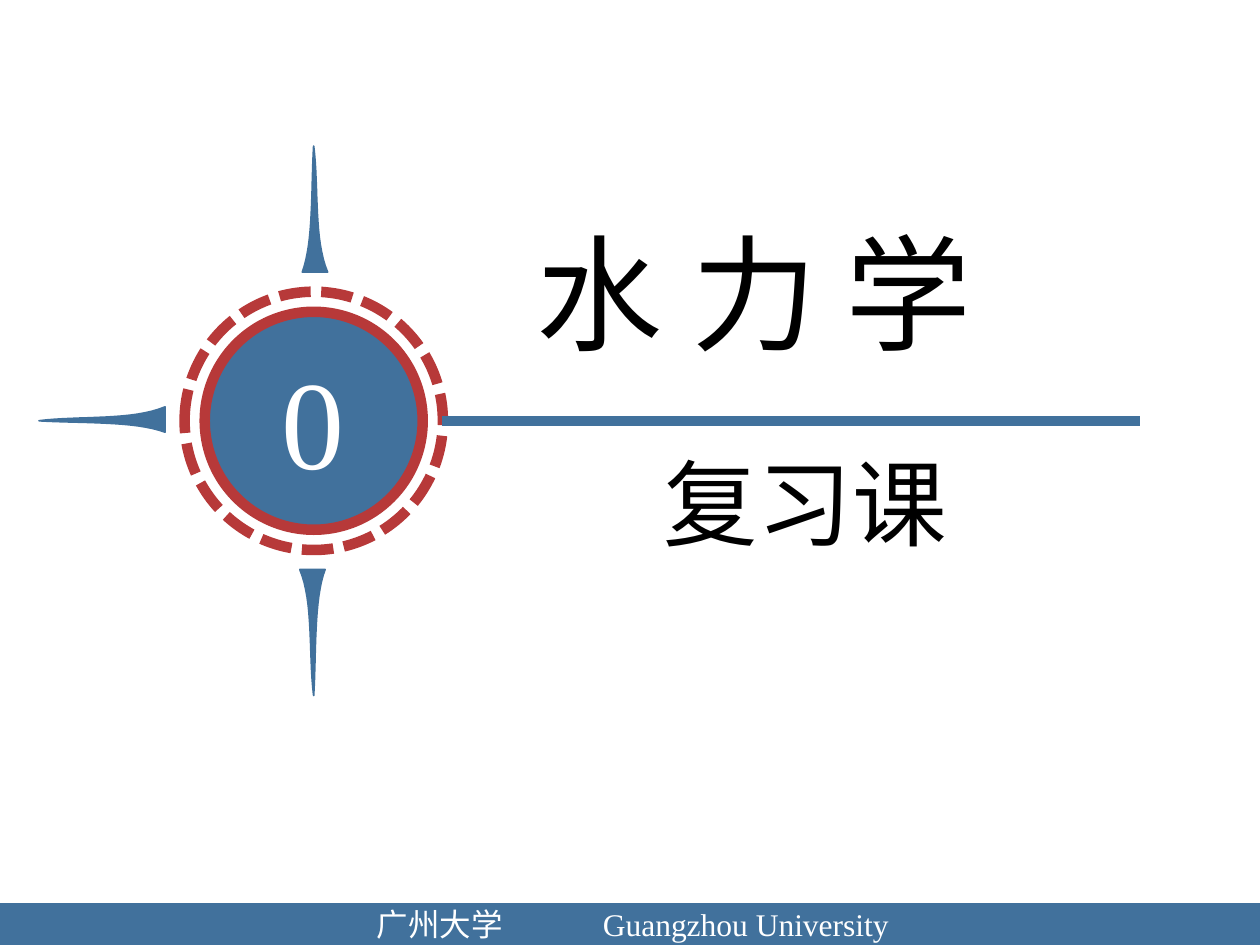
from dataclasses import dataclass
from math import cos, radians, sin

from lxml.etree import SubElement
from pptx import Presentation
from pptx.dml.color import RGBColor
from pptx.enum.dml import MSO_LINE
from pptx.enum.shapes import MSO_CONNECTOR, MSO_SHAPE
from pptx.enum.text import PP_ALIGN
from pptx.oxml.ns import qn
from pptx.shapes.autoshape import Shape
from pptx.slide import Slide
from pptx.util import Inches, Pt

BLUE = RGBColor(0x41, 0x71, 0x9C)
RED = RGBColor(0xB7, 0x39, 0x39)
BLACK = RGBColor(0, 0, 0)
WHITE = RGBColor(255, 255, 255)
FONT = "Times New Roman"

HUB = (2.49, 3.34)
LEFT_EDGE = ((-0.09, -1.18), (0, -1.42), (-0.02, -1.85), (0, -2.18))
RIGHT_EDGE = ((0, -2.18), (0.04, -1.85), (0, -1.44), (0.11, -1.18))
STEPS = 16


@dataclass
class Label:
    text: str
    left: float
    top: float
    width: float
    height: float
    size: int
    color: RGBColor


FOOTER = [
    Label("广州大学", 2.69, 7.13, 1.6, 0.4, 18, WHITE),
    Label("Guangzhou University", 4.42, 7.13, 3, 0.4, 18, WHITE),
]
LABELS = [
    Label("水 力 学", 3.76, 1.66, 4.45, 1.31, 72, BLACK),
    Label("0", 1.87, 2.68, 1.23, 1.31, 72, WHITE),
    Label("复习课", 3.21, 3.48, 6.36, 1.01, 54, BLACK),
]


def add_label(slide: Slide, label: Label) -> None:
    box = slide.shapes.add_textbox(
        Inches(label.left), Inches(label.top), Inches(label.width), Inches(label.height)
    )
    box.text_frame.word_wrap = True
    para = box.text_frame.paragraphs[0]
    para.text = label.text
    para.alignment = PP_ALIGN.CENTER
    para.font.name = FONT
    para.font.size = Pt(label.size)
    para.font.color.rgb = label.color


def paint(shape: Shape, fill: RGBColor | None, line: RGBColor, width: float) -> None:
    shape.shadow.inherit = False
    if fill is None:
        shape.fill.background()
    else:
        shape.fill.solid()
        shape.fill.fore_color.rgb = fill
    shape.line.color.rgb = line
    shape.line.width = Pt(width)


def add_disc(slide: Slide, size: float, fill: RGBColor | None) -> Shape:
    disc = slide.shapes.add_shape(
        MSO_SHAPE.FLOWCHART_CONNECTOR,
        Inches(HUB[0] - size / 2), Inches(HUB[1] - size / 2), Inches(size), Inches(size),
    )
    paint(disc, fill, RED, 6)
    return disc


def curve(knots: tuple) -> list[tuple[float, float]]:
    points = []
    for step in range(STEPS + 1):
        t = step / STEPS
        parts = ((1 - t) ** 3, 3 * t * (1 - t) ** 2, 3 * t * t * (1 - t), t ** 3)
        points.append(tuple(sum(p * k[i] for p, k in zip(parts, knots)) for i in (0, 1)))
    return points


def add_spike(slide: Slide, angle: float) -> None:
    c, s = cos(radians(angle)), sin(radians(angle))
    points = [
        (Inches(HUB[0] + x * c - y * s), Inches(HUB[1] + x * s + y * c))
        for x, y in curve(LEFT_EDGE) + curve(RIGHT_EDGE)[1:]
    ]
    pen = slide.shapes.build_freeform(*points[0])
    pen.add_line_segments(points[1:], close=True)
    paint(pen.convert_to_shape(), BLUE, BLUE, 1)


def add_rule(slide: Slide) -> None:
    rule = slide.shapes.add_connector(
        MSO_CONNECTOR.STRAIGHT, Inches(3.51), Inches(HUB[1]), Inches(9.05), Inches(HUB[1])
    )
    rule.line.color.rgb = BLUE
    rule.line.width = Pt(6)
    SubElement(rule._element.spPr, qn("a:effectLst"))


def main() -> None:
    deck = Presentation()
    deck.slide_width, deck.slide_height = Inches(10), Inches(7.5)
    slide = deck.slides.add_slide(deck.slide_layouts[6])

    band = slide.shapes.add_shape(
        MSO_SHAPE.RECTANGLE, 0, Inches(7.17), Inches(10), Inches(0.33)
    )
    paint(band, BLUE, BLUE, 1)
    add_disc(slide, 1.73, BLUE)
    ring = add_disc(slide, 2.05, None)
    ring.line.dash_style = MSO_LINE.SQUARE_DOT
    add_rule(slide)
    for label in FOOTER + LABELS:
        add_label(slide, label)
    for angle in (0, 270, 180):
        add_spike(slide, angle)

    deck.save("out.pptx")


if __name__ == "__main__":
    main()
